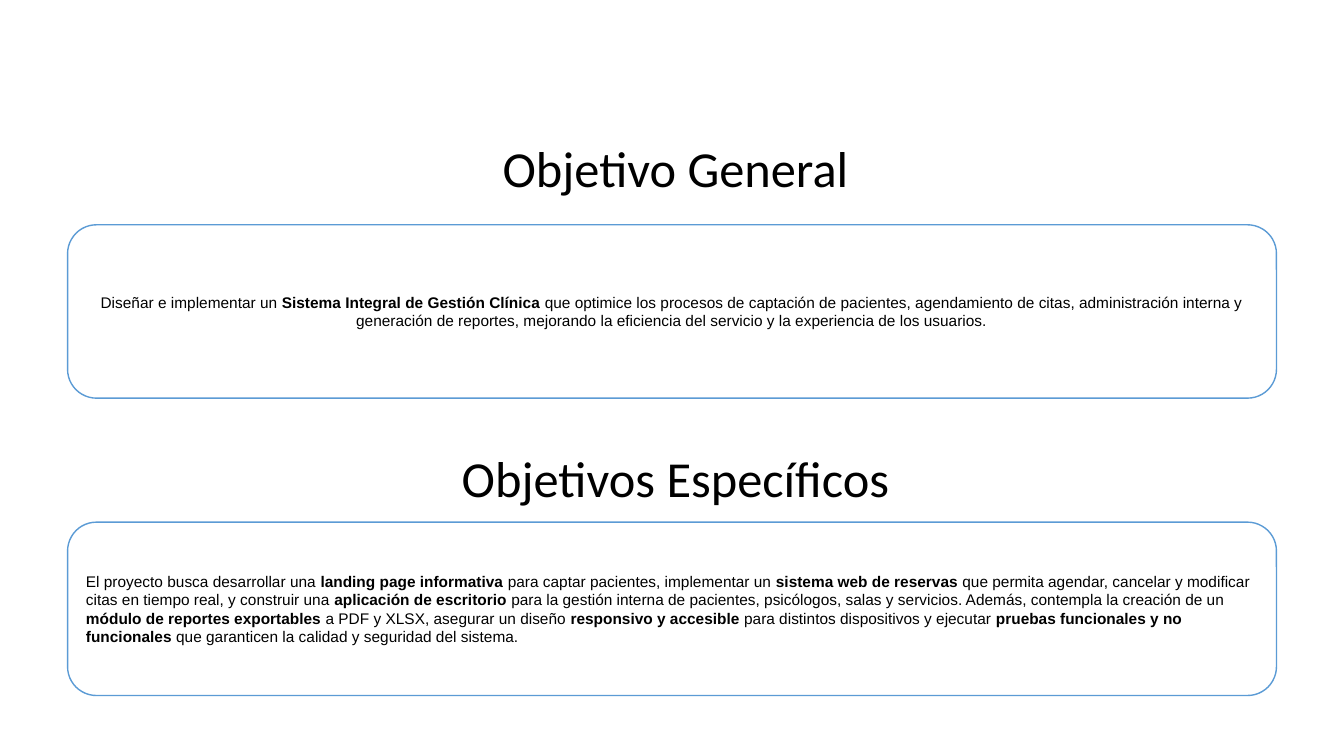
"""Builds a slide with the general and specific objectives of a clinic system."""
from pptx import Presentation
from pptx.dml.color import RGBColor
from pptx.enum.shapes import MSO_SHAPE as Shape
from pptx.enum.text import MSO_ANCHOR as Anchor, MSO_AUTO_SIZE as AutoSize, PP_ALIGN as Align
from pptx.util import Inches, Pt

COLORS = {"text": "000000", "panel": "FFFFFF", "border": "5B9BD5"}


def add_span(para, text, font, size, bold=False):
    span = para.add_run()
    span.text = text
    span.font.name = font
    span.font.size = Pt(size)
    span.font.bold = bold
    span.font.color.rgb = RGBColor.from_string(COLORS["text"])


# Spans alternate between regular and bold, starting with regular.
sections = [
    ("Objetivo General", 1.31, 2.23, Align.CENTER, [
        "Diseñar e implementar un ",
        "Sistema Integral de Gestión Clínica",
        " que optimice los procesos de captación de pacientes, agendamiento de citas, "
        "administración interna y generación de reportes, mejorando la eficiencia del "
        "servicio y la experiencia de los usuarios.",
    ]),
    ("Objetivos Específicos", 4.39, 5.18, Align.LEFT, [
        "El proyecto busca desarrollar una ",
        "landing page informativa",
        " para captar pacientes, implementar un ",
        "sistema web de reservas",
        " que permita agendar, cancelar y modificar citas en tiempo real, y construir una ",
        "aplicación de escritorio",
        " para la gestión interna de pacientes, psicólogos, salas y servicios. Además, "
        "contempla la creación de un ",
        "módulo de reportes exportables",
        " a PDF y XLSX, asegurar un diseño ",
        "responsivo y accesible",
        " para distintos dispositivos y ejecutar ",
        "pruebas funcionales y no funcionales",
        " que garanticen la calidad y seguridad del sistema.",
    ]),
]

deck = Presentation()
deck.slide_width = Inches(13.33)
deck.slide_height = Inches(7.5)
page = deck.slides.add_slide(deck.slide_layouts[6])

for heading, heading_top, panel_top, align, spans in sections:
    panel = page.shapes.add_shape(
        Shape.ROUNDED_RECTANGLE, Inches(0.67), Inches(panel_top), Inches(11.99), Inches(1.72))
    panel.shadow.inherit = False
    panel.fill.solid()
    panel.fill.fore_color.rgb = RGBColor.from_string(COLORS["panel"])
    panel.line.color.rgb = RGBColor.from_string(COLORS["border"])
    panel.line.width = Pt(1)
    panel.text_frame.word_wrap = True
    panel.text_frame.vertical_anchor = Anchor.MIDDLE
    para = panel.text_frame.paragraphs[0]
    para.alignment = align
    for index, text in enumerate(spans):
        add_span(para, text, "Arial", 11, bold=index % 2 == 1)

    box = page.shapes.add_textbox(
        Inches(0.17), Inches(heading_top), Inches(13.06), Inches(0.71))
    box.text_frame.word_wrap = True
    box.text_frame.auto_size = AutoSize.SHAPE_TO_FIT_TEXT
    para = box.text_frame.paragraphs[0]
    para.alignment = Align.CENTER
    add_span(para, heading, "Calibri", 36)

deck.save("out.pptx")
